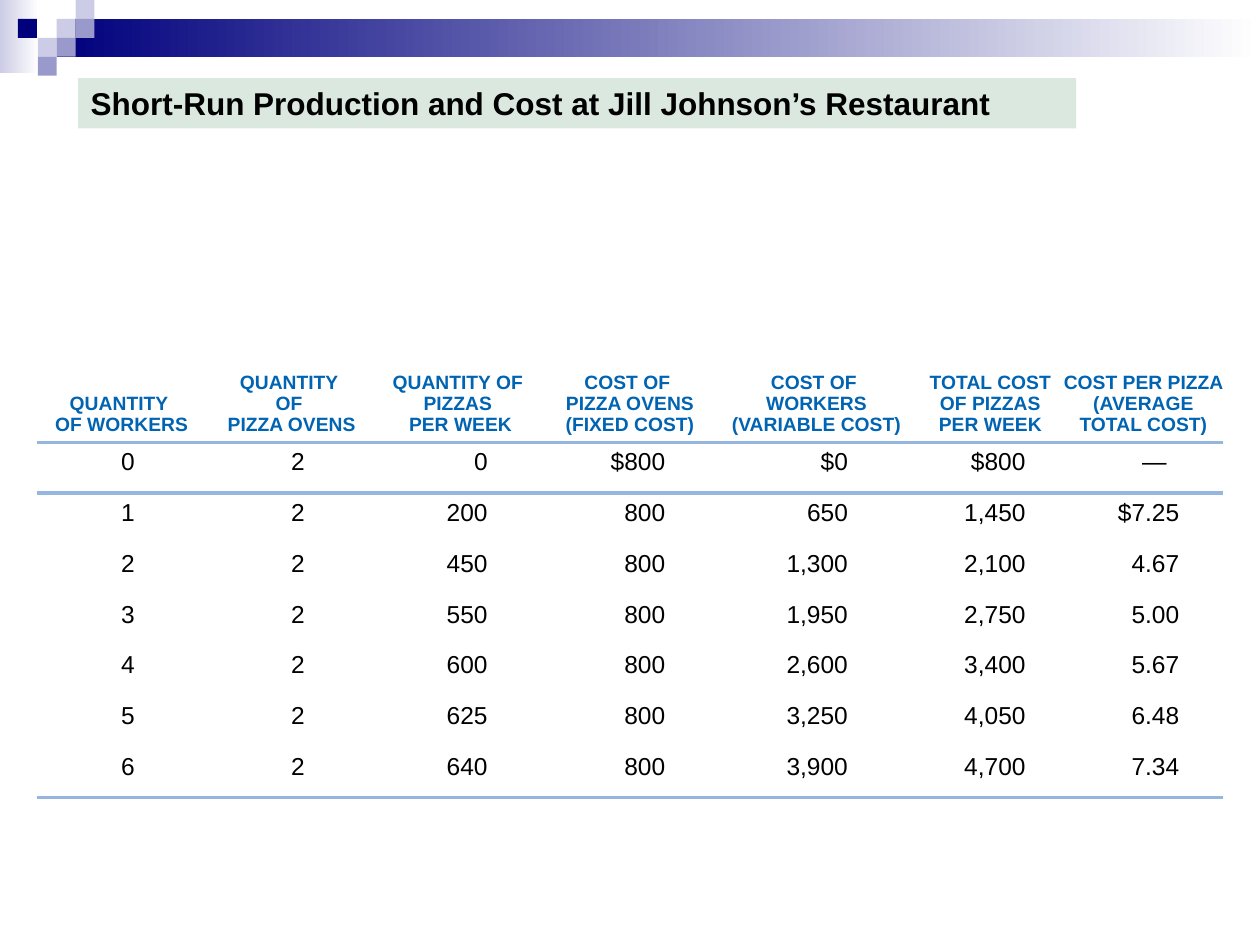
import pptx
import pptx.util
import pptx.dml.color
import pptx.enum.shapes
import pptx.enum.text
import pptx.oxml.ns
import lxml.etree

Inches, Pt = pptx.util.Inches, pptx.util.Pt
ALIGN, ANCHOR = pptx.enum.text.PP_ALIGN, pptx.enum.text.MSO_ANCHOR
qn = pptx.oxml.ns.qn

FONT = "Arial"
COLORS = {"navy": "00007D", "mid": "9999CC", "pale": "CCCCE6", "white": "FFFFFF",
          "mint": "B9D2C1", "black": "000000", "head": "0064B3", "rule": "95B6DF"}
TITLE = "Short-Run Production and Cost at Jill Johnson’s Restaurant"
BANDS = [((0, 0, 0.31, 0.58), "pale"), ((0.45, 0.15, 9.55, 0.3), "navy")]
TILES = [(3, 1, "pale"), (4, 0, "pale"), (4, 1, "mid"), (2, 2, "pale"),
         (0.95, 1, "navy"), (3, 2, "mid"), (2, 3, "mid")]
TILE = 0.15
HEADS = [
    "QUANTITY \nOF WORKERS",
    "QUANTITY \nOF \nPIZZA OVENS",
    "QUANTITY OF \nPIZZAS \nPER WEEK",
    "COST OF \nPIZZA OVENS (FIXED COST)",
    "COST OF \nWORKERS (VARIABLE COST)",
    "TOTAL COST OF PIZZAS\nPER WEEK",
    "COST PER PIZZA (AVERAGE TOTAL COST)",
]
ROWS = [
    ("0", "2", "0", "$800", "$0", "$800", "—"),
    ("1", "2", "200", "800", "650", "1,450", "$7.25"),
    ("2", "2", "450", "800", "1,300", "2,100", "4.67"),
    ("3", "2", "550", "800", "1,950", "2,750", "5.00"),
    ("4", "2", "600", "800", "2,600", "3,400", "5.67"),
    ("5", "2", "625", "800", "3,250", "4,050", "6.48"),
    ("6", "2", "640", "800", "3,900", "4,700", "7.34"),
]
WIDTHS = [1.35, 1.35, 1.33, 1.36, 1.6, 1.16, 1.27]
INSETS = [0, 0, 0.45, 0.4, 0.55, 0.3, 0.35]
DASH = 0.45
LEFT, TOP, HEIGHT, HEAD = 0.29, 2.5, 3.83, 1.01
PLAIN = "{2D5ABB26-0587-4C30-8999-92F81FD0307C}"


def rgb(name):
    return pptx.dml.color.RGBColor.from_string(COLORS[name])


def add_run(para, text, size, color, bold):
    run = para.add_run()
    run.text = text
    font = run.font
    font.name, font.size, font.bold = FONT, Pt(size), bold
    font.color.rgb = rgb(color)


def add_rect(slide, box):
    shape = slide.shapes.add_shape(
        pptx.enum.shapes.MSO_SHAPE.RECTANGLE, *map(Inches, box))
    shape.shadow.inherit = False
    shape.line.fill.background()
    return shape


def add_decor(slide):
    for box, color in BANDS:
        fill = add_rect(slide, box).fill
        fill.gradient()
        fill.gradient_angle = 0
        for stop, name in zip(fill.gradient_stops, (color, "white")):
            stop.color.rgb = rgb(name)
    for col, row, color in TILES:
        fill = add_rect(slide, (col * TILE, row * TILE, TILE, TILE)).fill
        fill.solid()
        fill.fore_color.rgb = rgb(color)


def add_title(slide):
    title = slide.shapes.title
    title.left, title.top, title.width, title.height = map(
        Inches, (0.62, 0.62, 7.92, 0.4))
    title.fill.solid()
    title.fill.fore_color.rgb = rgb("mint")
    tint = next(title.element.spPr.iter(qn("a:srgbClr")))
    lxml.etree.SubElement(tint, qn("a:alpha"), val="50000")
    frame = title.text_frame
    frame.word_wrap = True
    frame.auto_size = pptx.enum.text.MSO_AUTO_SIZE.NONE
    frame.vertical_anchor = ANCHOR.TOP
    para = frame.paragraphs[0]
    para.alignment = ALIGN.LEFT
    add_run(para, TITLE, 18, "black", True)


def add_rule(cell, side):
    props = cell._tc.get_or_add_tcPr()
    line = lxml.etree.SubElement(props, qn("a:" + side), w=str(Pt(2.25)))
    fill = lxml.etree.SubElement(line, qn("a:solidFill"))
    lxml.etree.SubElement(fill, qn("a:srgbClr"), val=COLORS["rule"])


def set_cell(cell, text, align, anchor, left, right, gap, style, sides):
    cell.margin_left, cell.margin_right = Inches(left), Inches(right)
    cell.margin_top = cell.margin_bottom = Inches(0.05)
    cell.vertical_anchor = anchor
    para = cell.text_frame.paragraphs[0]
    para.alignment = align
    space = lxml.etree.SubElement(para._p.get_or_add_pPr(), qn("a:spcBef"))
    lxml.etree.SubElement(space, qn("a:spcPct"), val=str(gap * 1000))
    for i, line in enumerate(text.split("\n")):
        if i:
            para.add_line_break()
        add_run(para, line, *style)
    for side in sides:
        add_rule(cell, side)
    cell.fill.background()


def add_grid(slide):
    frame = slide.shapes.add_table(
        len(ROWS) + 1, len(HEADS),
        *map(Inches, (LEFT, TOP, sum(WIDTHS), HEIGHT)))
    table = frame.table
    table.first_row = table.horz_banding = False
    next(frame.element.iter(qn("a:tableStyleId"))).text = PLAIN
    for col, width in zip(table.columns, WIDTHS):
        col.width = Inches(width)
    step = (HEIGHT - HEAD) / len(ROWS)
    for i, row in enumerate(table.rows):
        row.height = Inches(step if i else HEAD)
    for c, text in enumerate(HEADS):
        set_cell(table.cell(0, c), text, ALIGN.CENTER, ANCHOR.BOTTOM,
                 0, 0, 20, (11, "head", True), ["lnB"])
    for r, row in enumerate(ROWS, 1):
        sides = {1: ["lnT"], len(ROWS): ["lnB"]}.get(r, [])
        for c, (text, inset) in enumerate(zip(row, INSETS)):
            align = ALIGN.RIGHT if inset else ALIGN.CENTER
            right = DASH if text == "—" else inset
            set_cell(table.cell(r, c), text, align, ANCHOR.TOP,
                     0.1, right, 10, (14, "black", False), sides)


def main():
    deck = pptx.Presentation()
    deck.slide_width, deck.slide_height = Inches(10), Inches(7.5)
    slide = deck.slides.add_slide(deck.slide_layouts[5])
    add_decor(slide)
    add_title(slide)
    add_grid(slide)
    deck.save("out.pptx")


if __name__ == "__main__":
    main()
